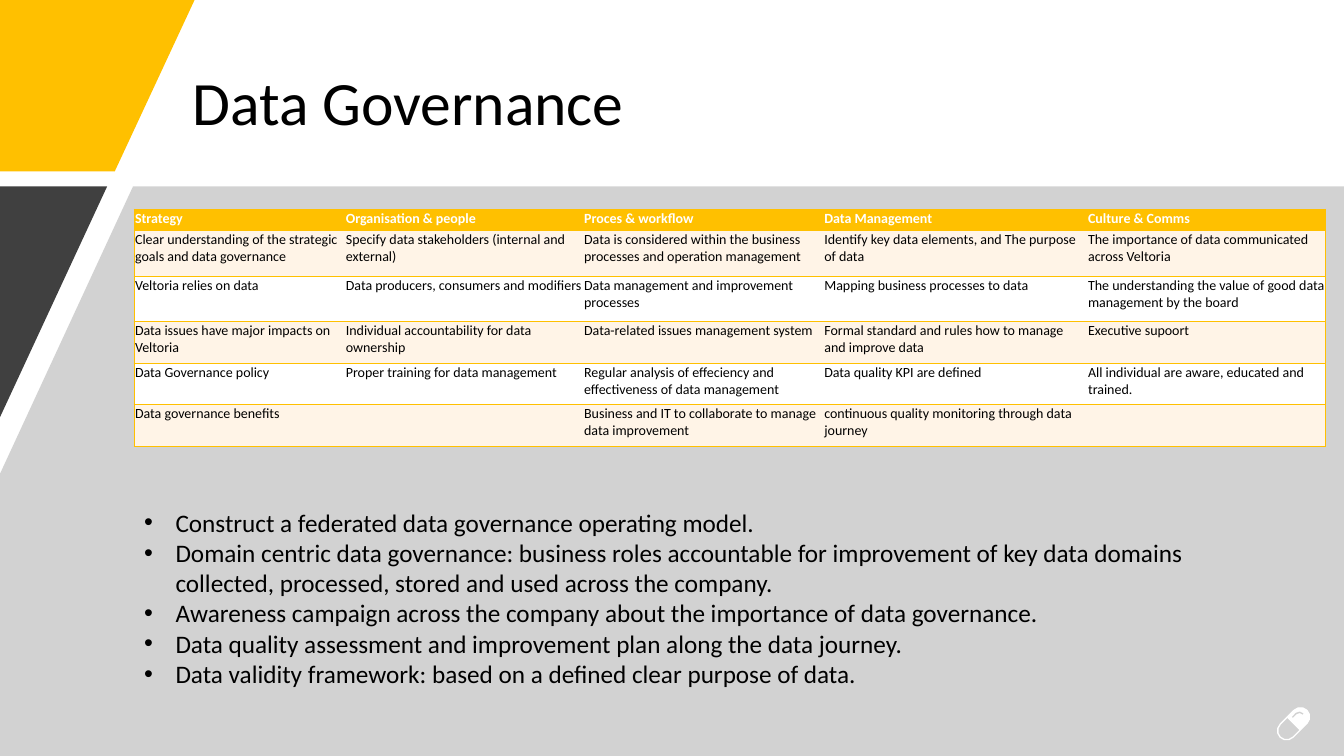
"""Build the Data Governance slide."""
from dataclasses import dataclass

from lxml.etree import SubElement
from pptx import Presentation
from pptx.dml.color import RGBColor as RGB
from pptx.enum.shapes import MSO_SHAPE as SHAPE
from pptx.enum.text import MSO_ANCHOR as ANCHOR
from pptx.oxml.ns import qn
from pptx.util import Pt


@dataclass(frozen=True)
class Theme:
    """Colours, font and type sizes."""
    font: str = "Calibri"
    gold: str = "FFC000"
    dark: str = "404040"
    grey: str = "A6A6A6"
    panel: str = "D2D2D2"
    cream: str = "FFF4E7"
    white: str = "FFFFFF"
    black: str = "000000"
    title: int = 44
    body: int = 18
    cell: int = 10


class Deck:
    """Holds the theme and the current slide and draws its elements."""

    def __init__(self, prs, theme):
        """Add a blank slide."""
        self.theme = theme
        self.slide = prs.slides.add_slide(prs.slide_layouts[6])
        self.shapes = self.slide.shapes

    def paint(self, sp, fill=None, line=None, alpha=None):
        """Set the fill, outline and opacity of a shape."""
        sp.shadow.inherit = False
        if fill:
            sp.fill.solid()
            sp.fill.fore_color.rgb = RGB.from_string(fill)
        else:
            sp.fill.background()
        if line:
            sp.line.color.rgb = RGB.from_string(line)
            sp.line.width = Pt(1)
        else:
            sp.line.fill.background()
        if alpha:
            color = sp.fill._xPr.find(qn("a:solidFill"))[0]
            SubElement(color, qn("a:alpha")).set("val", str(alpha * 1000))

    def outline(self, points, closed=True, **style):
        """Draw a freeform through points."""
        pts = [(Pt(x), Pt(y)) for x, y in points]
        builder = self.shapes.build_freeform(*pts[0])
        builder.add_line_segments(pts[1:], close=closed)
        self.paint(builder.convert_to_shape(), **style)

    def preset(self, kind, box, adjust, rotation=0, **style):
        """Draw a preset shape."""
        sp = self.shapes.add_shape(kind, *map(Pt, box))
        sp.adjustments[0] = adjust
        sp.rotation = rotation
        self.paint(sp, **style)

    def style_text(self, tf, size, color, bold=False):
        """Format every run of a text frame."""
        for p in tf.paragraphs:
            for r in p.runs:
                r.font.name = self.theme.font
                r.font.size = Pt(size)
                r.font.bold = bold
                r.font.color.rgb = RGB.from_string(color)

    def text(self, lines, box, size, anchor=ANCHOR.TOP, spacing=1.0, bullet=0):
        """Add a text box, with bullets hung by the given indent."""
        tf = self.shapes.add_textbox(*map(Pt, box)).text_frame
        tf.word_wrap = True
        tf.vertical_anchor = anchor
        tf.text = "\n".join(lines)
        for p in tf.paragraphs:
            p.line_spacing = spacing
            if bullet:
                pPr = p._p.get_or_add_pPr()
                pPr.set("marL", str(Pt(bullet)))
                pPr.set("indent", str(-Pt(bullet)))
                SubElement(pPr, qn("a:buFont")).set("typeface", "Arial")
                SubElement(pPr, qn("a:buChar")).set("char", "•")
        self.style_text(tf, size, self.theme.black)

    def border(self, cell, sides):
        """Draw gold lines on the named sides of a cell."""
        tcPr = cell._tc.get_or_add_tcPr()
        for side in sides:
            ln = SubElement(tcPr, qn(f"a:ln{side}"), w=str(Pt(1)))
            fill = SubElement(ln, qn("a:solidFill"))
            SubElement(fill, qn("a:srgbClr")).set("val", self.theme.gold)

    def table(self, rows, left, top, widths, heights):
        """Add a table with a gold header and striped rows."""
        t = self.theme
        frame = self.shapes.add_table(len(rows), len(widths), Pt(left), Pt(top),
                                      Pt(sum(widths)), Pt(sum(heights)))
        table = frame.table
        table.horz_banding = False
        style = table._tbl.tblPr.find(qn("a:tableStyleId"))
        style.text = "{2D5ABB26-0587-4C30-8999-92F81FD0307C}"
        for column, width in zip(table.columns, widths):
            column.width = Pt(width)
        for i, (row, height) in enumerate(zip(rows, heights)):
            table.rows[i].height = Pt(height)
            fill = t.gold if i == 0 else t.cream if i % 2 else t.white
            for j, words in enumerate(row):
                cell = table.cell(i, j)
                cell.margin_left = cell.margin_right = cell.margin_top = Pt(0.6)
                cell.margin_bottom = 0
                edges = {0: "L", len(widths) - 1: "R"}
                self.border(cell, edges.get(j, "") + "TB")
                cell.fill.solid()
                cell.fill.fore_color.rgb = RGB.from_string(fill)
                cell.text_frame.text = words
                self.style_text(cell.text_frame, t.cell,
                                t.black if i else t.white, bold=i == 0)


ROWS = [
    ["Strategy", "Organisation & people", "Proces & workflow",
     "Data Management", "Culture & Comms"],
    ["Clear understanding of the strategic goals and data governance",
     "Specify data stakeholders (internal and external)",
     "Data is considered within the business processes and operation management",
     "Identify key data elements, and The purpose of data",
     "The importance of data communicated across Veltoria"],
    ["Veltoria relies on data",
     "Data producers, consumers and modifiers",
     "Data management and improvement processes",
     "Mapping business processes to data",
     "The understanding the value of good data management by the board"],
    ["Data issues have major impacts on Veltoria",
     "Individual accountability for data ownership",
     "Data-related issues management system",
     "Formal standard and rules how to manage and improve data",
     "Executive supoort"],
    ["Data Governance policy",
     "Proper training for data management",
     "Regular analysis of effeciency and effectiveness of data management",
     "Data quality KPI are defined",
     "All individual are aware, educated and trained."],
    ["Data governance benefits", "",
     "Business and IT to collaborate to manage data improvement",
     "continuous quality monitoring through data journey", ""],
]
ACTIONS = [
    "Construct a federated data governance operating model.",
    "Domain centric data governance: business roles accountable for improvement "
    "of key data domains collected, processed, stored and used across the company.",
    "Awareness campaign across the company about the importance of data governance.",
    "Data quality assessment and improvement plan along the data journey.",
    "Data validity framework: based on a defined clear purpose of data.",
]
WIDTH, HEIGHT, PANEL_TOP = 960, 540, 133.2

prs = Presentation()
prs.slide_width, prs.slide_height = Pt(WIDTH), Pt(HEIGHT)
theme = Theme()
deck = Deck(prs, theme)

deck.text(["Data Governance"], (130.3, 28.8, 737.3, 93.6), theme.title,
          anchor=ANCHOR.MIDDLE, spacing=0.9)
deck.outline([(0, 0), (139, 0), (82, 122.4), (0, 122.4)], fill=theme.gold)
deck.outline([(95, PANEL_TOP), (WIDTH, PANEL_TOP), (WIDTH, HEIGHT),
              (0, HEIGHT), (0, 338.4)], fill=theme.grey, alpha=50)
deck.outline([(0, PANEL_TOP), (76.5, PANEL_TOP), (0, 298)], fill=theme.dark)
deck.table(ROWS, 95.9, 149.6, [150.6, 170.2, 171.6, 188.4, 170],
           [15.1, 32.6, 32.6, 29.6, 29.6, 29.6])

deck.preset(SHAPE.ROUNDED_RECTANGLE, (917.5, 503.5, 13, 27), 0.5,
            rotation=45, line=theme.white)
deck.preset(SHAPE.ROUND_2_SAME_RECTANGLE, (921.8, 505.5, 13.5, 13.5), 0.5,
            rotation=45, fill=theme.white)
deck.outline([(923.2, 512.4), (926, 509.6), (928.5, 508.8), (930.8, 510)],
             closed=False, line=theme.panel)

deck.text(ACTIONS, (95.8, 358.6, 815.8, 138.2), theme.body, bullet=22.5)

prs.save("out.pptx")
